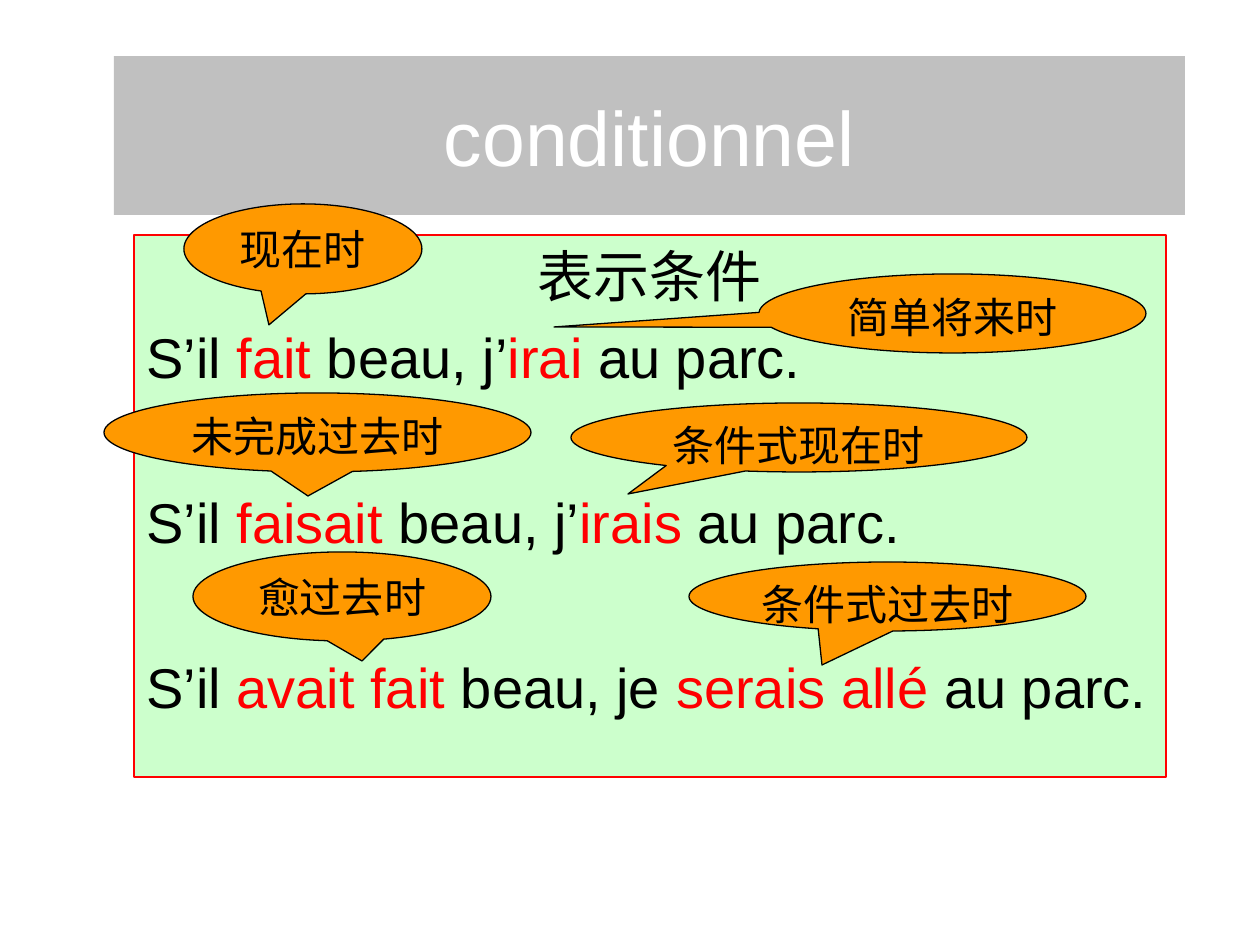
from pptx import Presentation
from pptx import util as u
from pptx.dml.color import RGBColor
from pptx.enum import shapes, text

PX = 914400 / 126
FONT = "Arial"
BLACK = RGBColor(0x00, 0x00, 0x00)
WHITE = RGBColor(0xFF, 0xFF, 0xFF)
RED = RGBColor(0xFF, 0x00, 0x00)
GREY = RGBColor(0xC0, 0xC0, 0xC0)
GREEN = RGBColor(0xCC, 0xFF, 0xCC)
ORANGE = RGBColor(0xFF, 0x99, 0x00)

HEADING = "表示条件"
SENTENCES = [
    ("S’il ", "fait", " beau, j’", "irai", " au parc."),
    ("S’il ", "faisait", " beau, j’", "irais", " au parc."),
    ("S’il ", "avait fait", " beau, je ", "serais allé", " au parc."),
]
# tense name, box (left, top, width, height), tip of the tail
CALLOUTS = [
    ("现在时", (184, 204, 238, 90), (269, 325)),
    ("简单将来时", (759, 274, 387, 79), (554, 327)),
    ("未完成过去时", (104, 393, 427, 79), (308, 496)),
    ("条件式现在时", (571, 403, 456, 69), (628, 494)),
    ("愈过去时", (193, 552, 298, 89), (362, 661)),
    ("条件式过去时", (689, 562, 397, 69), (822, 665)),
]


def px(n):
    return u.Emu(int(n * PX))


def add_box(s, kind, box, fill, line=None, anchor=text.MSO_ANCHOR.TOP):
    """Add a flat filled shape, ready for text."""
    sp = s.shapes.add_shape(kind, *map(px, box))
    sp.shadow.inherit = False
    sp.fill.solid()
    sp.fill.fore_color.rgb = fill
    if line is None:
        sp.line.fill.background()
    else:
        sp.line.color.rgb = line
        sp.line.width = u.Pt(0.75)
    layout = {"word_wrap": True, "vertical_anchor": anchor,
              "margin_left": u.Inches(0.1), "margin_right": u.Inches(0.1),
              "margin_top": u.Inches(0.05), "margin_bottom": u.Inches(0.05)}
    for name, value in layout.items():
        setattr(sp.text_frame, name, value)
    return sp


def write(p, runs, size, align=text.PP_ALIGN.CENTER):
    """Fill a paragraph with (text, colour) runs."""
    p.alignment = align
    for words, color in runs:
        r = p.add_run()
        r.text = words
        for name, value in {"name": FONT, "size": u.Pt(size)}.items():
            setattr(r.font, name, value)
        r.font.color.rgb = color


def add_title(s, box):
    sp = add_box(s, shapes.MSO_SHAPE.RECTANGLE, box, GREY,
                 anchor=text.MSO_ANCHOR.MIDDLE)
    write(sp.text_frame.paragraphs[0], [("conditionnel", WHITE)], 44)


def add_examples(s, box):
    """Heading and sentences; every second part of a sentence is a red verb."""
    tf = add_box(s, shapes.MSO_SHAPE.RECTANGLE, box, GREEN, RED).text_frame
    write(tf.paragraphs[0], [(HEADING, BLACK)], 32)
    for i, parts in enumerate(SENTENCES):
        p = tf.add_paragraph()
        p.space_before = u.Pt(56 if i else 8)
        runs = [(part, RED if k % 2 else BLACK) for k, part in enumerate(parts)]
        write(p, runs, 32, text.PP_ALIGN.LEFT)


def add_callout(s, label, box, tip):
    sp = add_box(s, shapes.MSO_SHAPE.OVAL_CALLOUT, box, ORANGE, BLACK)
    left, top, width, height = box
    sp.adjustments[0] = (tip[0] - left) / width - 0.5
    sp.adjustments[1] = (tip[1] - top) / height - 0.5
    write(sp.text_frame.paragraphs[0], [(label, BLACK)], 24)


def main():
    prs = Presentation()
    prs.slide_width, prs.slide_height = u.Inches(10), u.Inches(7.5)
    s = prs.slides.add_slide(prs.slide_layouts[6])
    add_title(s, (114, 56, 1071, 159))
    add_examples(s, (134, 235, 1032, 542))
    for label, box, tip in CALLOUTS:
        add_callout(s, label, box, tip)
    prs.save("out.pptx")


if __name__ == "__main__":
    main()
